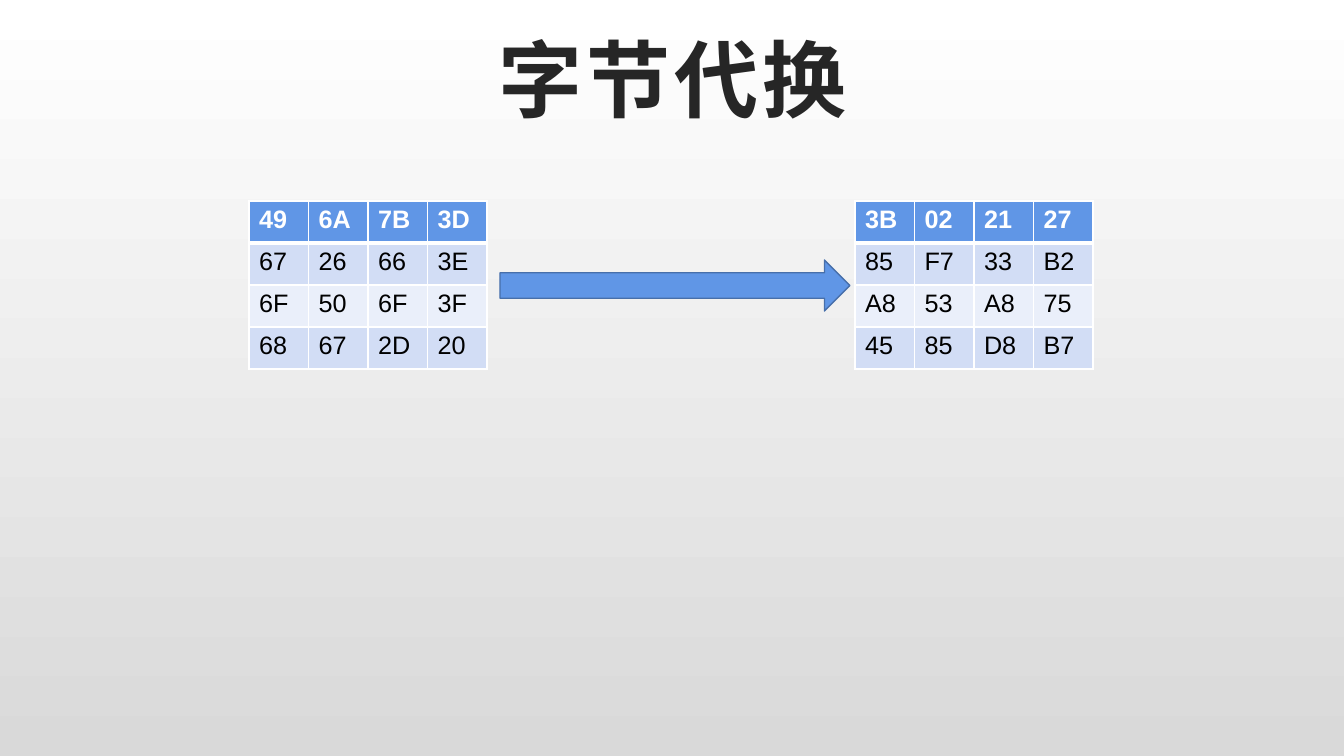
from lxml import etree
from pptx import Presentation
from pptx.dml.color import RGBColor
from pptx.enum.shapes import MSO_SHAPE
from pptx.enum.text import MSO_ANCHOR, MSO_AUTO_SIZE, PP_ALIGN
from pptx.oxml.ns import qn
from pptx.util import Pt

RIGHT_ARROW = MSO_SHAPE.RIGHT_ARROW
BOTTOM, CENTER = MSO_ANCHOR.BOTTOM, PP_ALIGN.CENTER
NO_AUTOFIT = MSO_AUTO_SIZE.NONE

# Content
HEADING = "字节代换"
INPUT_STATE = [
    ["49", "6A", "7B", "3D"],
    ["67", "26", "66", "3E"],
    ["6F", "50", "6F", "3F"],
    ["68", "67", "2D", "20"],
]
OUTPUT_STATE = [
    ["3B", "02", "21", "27"],
    ["85", "F7", "33", "B2"],
    ["A8", "53", "A8", "75"],
    ["45", "85", "D8", "B7"],
]

# Style and layout, lengths in px
FONT = "Arial"
COLORS = {
    "top": "FFFFFF", "bottom": "D9D9D9", "heading": "262626",
    "accent": "6096E6", "outline": "476FAA", "grid": "FFFFFF",
    "header_text": "FFFFFF", "body_text": "000000",
    "odd_row": "D2DDF5", "even_row": "EAEFFA",
}
EMU_PER_PX = 914400 / 100.8
SLIDE_W, SLIDE_H = 1344, 756
HEADING_BOX = (132, 11, 1081, 122)
ARROW_BOX = (500, 260, 350, 51)
STATE_TOP, STATE_W, ROW_H = 201, 238, 42
STATES = [(249, INPUT_STATE), (855, OUTPUT_STATE)]


def px(length):
    return round(length * EMU_PER_PX)


def rgb(name):
    return RGBColor.from_string(COLORS[name])


def add_text(paragraph, text, size, color, bold):
    run = paragraph.add_run()
    run.text = text
    run.font.size, run.font.bold, run.font.name = Pt(size), bold, FONT
    run.font.color.rgb = rgb(color)
    return run


def add_border(cell, side, width):
    line = etree.SubElement(cell._tc.get_or_add_tcPr(), qn("a:" + side), w=str(Pt(width)))
    fill = etree.SubElement(line, qn("a:solidFill"))
    etree.SubElement(fill, qn("a:srgbClr"), val=COLORS["grid"])


def add_state(slide, left, state):
    rows, cols = len(state), len(state[0])
    table = slide.shapes.add_table(
        rows, cols, px(left), px(STATE_TOP), px(STATE_W), px(ROW_H * rows)).table
    for column in table.columns:
        column.width = px(STATE_W / cols)
    for r, values in enumerate(state):
        table.rows[r].height = px(ROW_H)
        header = r == 0
        row_fill = "accent" if header else "odd_row" if r % 2 else "even_row"
        for c, value in enumerate(values):
            cell = table.cell(r, c)
            for side in ("lnL", "lnR", "lnT", "lnB"):
                thick = (r, side) in ((0, "lnB"), (1, "lnT"))
                add_border(cell, side, 3 if thick else 1)
            cell.fill.solid()
            cell.fill.fore_color.rgb = rgb(row_fill)
            add_text(cell.text_frame.paragraphs[0], value, 18,
                     "header_text" if header else "body_text", header)


def main():
    prs = Presentation()
    prs.slide_width, prs.slide_height = px(SLIDE_W), px(SLIDE_H)
    slide = prs.slides.add_slide(prs.slide_layouts[5])

    # Background gradient, top to bottom
    backdrop = slide.background.fill
    backdrop.gradient()
    backdrop.gradient_angle = 270
    for stop, name in zip(backdrop.gradient_stops, ("top", "bottom")):
        stop.color.rgb = rgb(name)

    # Heading
    heading = slide.shapes.title
    heading.left, heading.top, heading.width, heading.height = map(px, HEADING_BOX)
    frame = heading.text_frame
    frame.auto_size, frame.word_wrap = NO_AUTOFIT, True
    frame.vertical_anchor = BOTTOM
    paragraph = frame.paragraphs[0]
    paragraph.alignment = CENTER
    properties = add_text(paragraph, HEADING, 60, "heading", True).font._element
    properties.set("spc", "300")
    etree.SubElement(properties, qn("a:ea"), typeface=FONT)

    # State before and after substitution
    for left, state in STATES:
        add_state(slide, left, state)

    # Substitution arrow
    arrow = slide.shapes.add_shape(RIGHT_ARROW, *map(px, ARROW_BOX))
    arrow.shadow.inherit = False
    arrow.fill.solid()
    arrow.fill.fore_color.rgb = rgb("accent")
    arrow.line.color.rgb = rgb("outline")
    arrow.line.width = Pt(1)

    prs.save("out.pptx")


if __name__ == "__main__":
    main()
